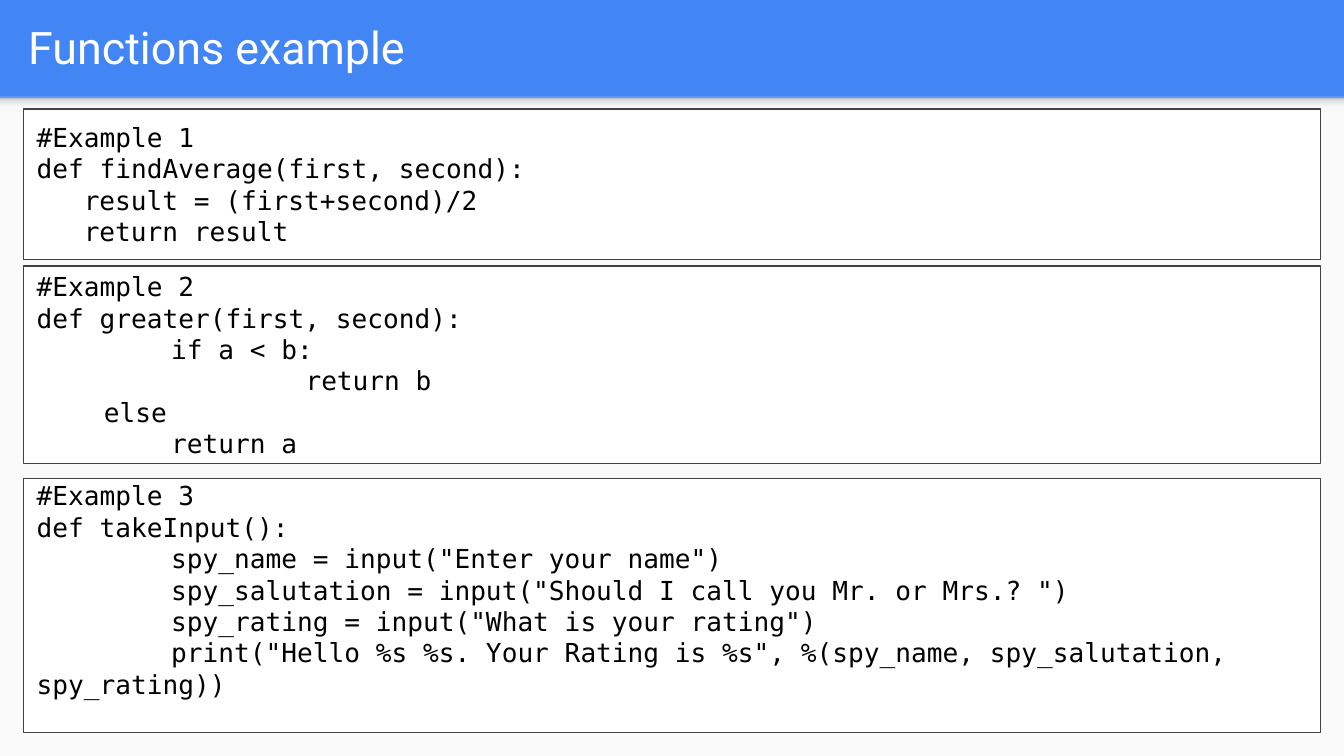
from copy import deepcopy
from pptx import Presentation
from pptx.dml.color import RGBColor
from pptx.enum.shapes import MSO_SHAPE as Shape
from pptx.enum.text import MSO_ANCHOR as Anchor, MSO_AUTO_SIZE as AutoSize, PP_ALIGN as Align
from pptx.util import Inches, Pt


def color(value):
    return RGBColor.from_string(value)


def add_box(left, top, width, height):
    box = slide.shapes.add_shape(
        Shape.RECTANGLE, Inches(left), Inches(top), Inches(width), Inches(height))
    box.shadow.inherit = False
    box.line.fill.background()
    return box


page_width = 10
page_height = page_width * 9 / 16
header_height = 0.72
code_width = 9.65
code_left = (page_width - code_width) / 2

deck = Presentation()
deck.slide_width, deck.slide_height = Inches(page_width), Inches(page_height)
slide = deck.slides.add_slide(deck.slide_layouts[5])
slide.background.fill.solid()
slide.background.fill.fore_color.rgb = color("4285F4")

body = add_box(0, header_height, page_width, page_height - header_height)
body.fill.solid()
body.fill.fore_color.rgb = color("FAFAFA")

shade = add_box(0, header_height, page_width, 0.12)
shade.fill.gradient()
shade.fill.gradient_angle = 90
stop_list = shade.fill.gradient_stops[0]._gs.getparent()
for _ in range(2):
    stop_list.append(deepcopy(stop_list[0]))
shade_stops = [(0, "F9F9F9"), (0.36, "F9F9F9"), (0.8, "DEDEDE"), (1, "999999")]
for stop, (position, tone) in zip(shade.fill.gradient_stops, shade_stops):
    stop.position = position
    stop.color.rgb = color(tone)

title = slide.shapes.title
title.left, title.top = Inches(0.11), Inches(0.02)
title.width, title.height = Inches(code_width), Inches(0.66)
frame = title.text_frame
frame.auto_size = AutoSize.NONE
frame.vertical_anchor = Anchor.MIDDLE
frame.margin_left = frame.margin_right = frame.margin_top = frame.margin_bottom = Inches(0.1)
para = frame.paragraphs[0]
para.alignment = Align.LEFT
span = para.add_run()
span.text = "Functions example"
span.font.name, span.font.size = "Roboto", Pt(24)
span.font.color.rgb = color("FFFFFF")

examples = [
    (0.81, 1.12, Anchor.MIDDLE, 0.1, [
        (0, "#Example 1"),
        (0, "def findAverage(first, second):"),
        (0.35, "result = (first+second)/2"),
        (0.35, "return result"),
    ]),
    (1.98, 1.47, Anchor.MIDDLE, 0.1, [
        (0, "#Example 2"),
        (0, "def greater(first, second):"),
        (1, "if a < b:"),
        (2, "return b"),
        (0.5, "else"),
        (1, "return a"),
    ]),
    (3.56, 1.89, Anchor.TOP, 0.01, [
        (0, "#Example 3"),
        (0, "def takeInput():"),
        (1, 'spy_name = input("Enter your name")'),
        (1, 'spy_salutation = input("Should I call you Mr. or Mrs.? ")'),
        (1, 'spy_rating = input("What is your rating")'),
        (1, 'print("Hello %s %s. Your Rating is %s", %(spy_name, spy_salutation, spy_rating))'),
    ]),
]
for top, height, anchor, margin, lines in examples:
    box = add_box(code_left, top, code_width, height)
    box.fill.solid()
    box.fill.fore_color.rgb = color("FFFFFF")
    box.line.color.rgb = color("424242")
    box.line.width = Pt(0.75)
    frame = box.text_frame
    frame.word_wrap = True
    frame.vertical_anchor = anchor
    frame.margin_left = frame.margin_right = Inches(0.1)
    frame.margin_top = frame.margin_bottom = Inches(margin)
    for number, (indent, code) in enumerate(lines):
        para = frame.add_paragraph() if number else frame.paragraphs[0]
        para.alignment = Align.LEFT
        properties = para._p.get_or_add_pPr()
        properties.set("marL", "0")
        properties.set("indent", str(Inches(indent)))
        span = para.add_run()
        span.text = code
        span.font.name, span.font.size = "DejaVu Sans Mono", Pt(14)
        span.font.color.rgb = color("000000")

deck.save("out.pptx")
